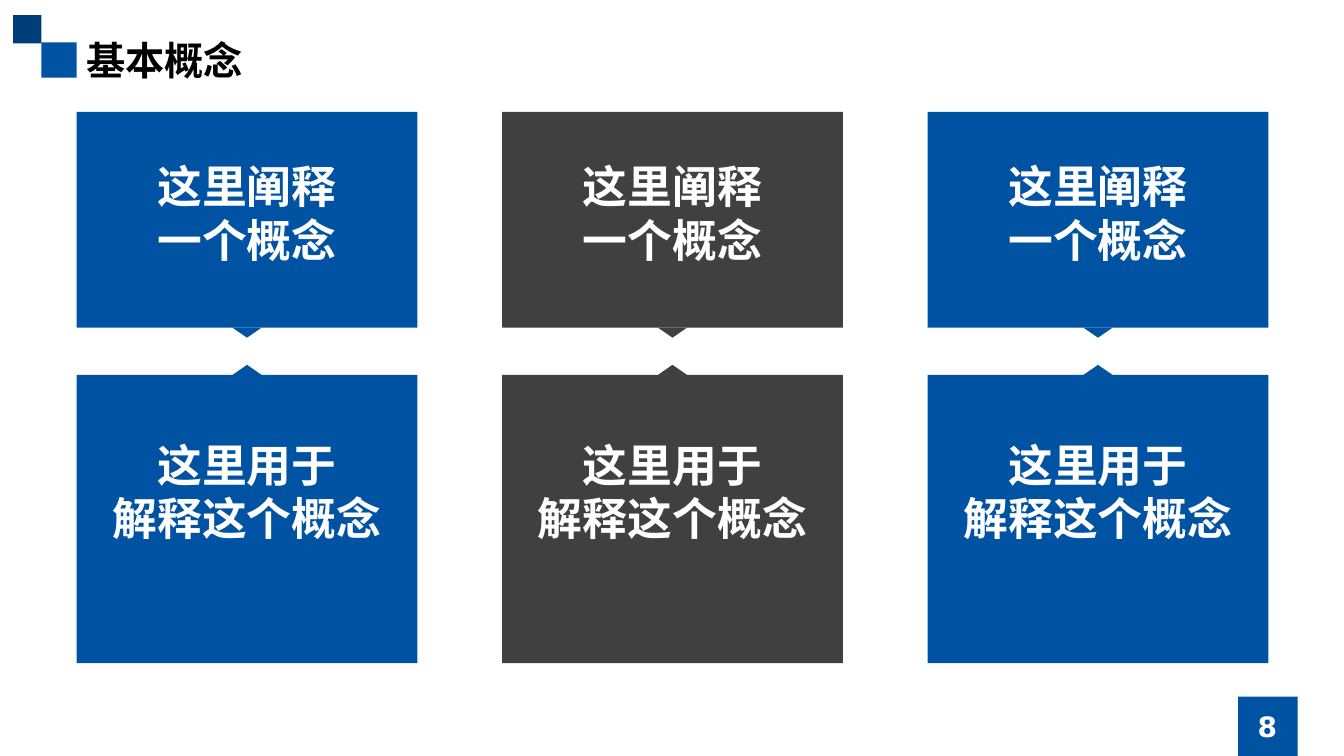
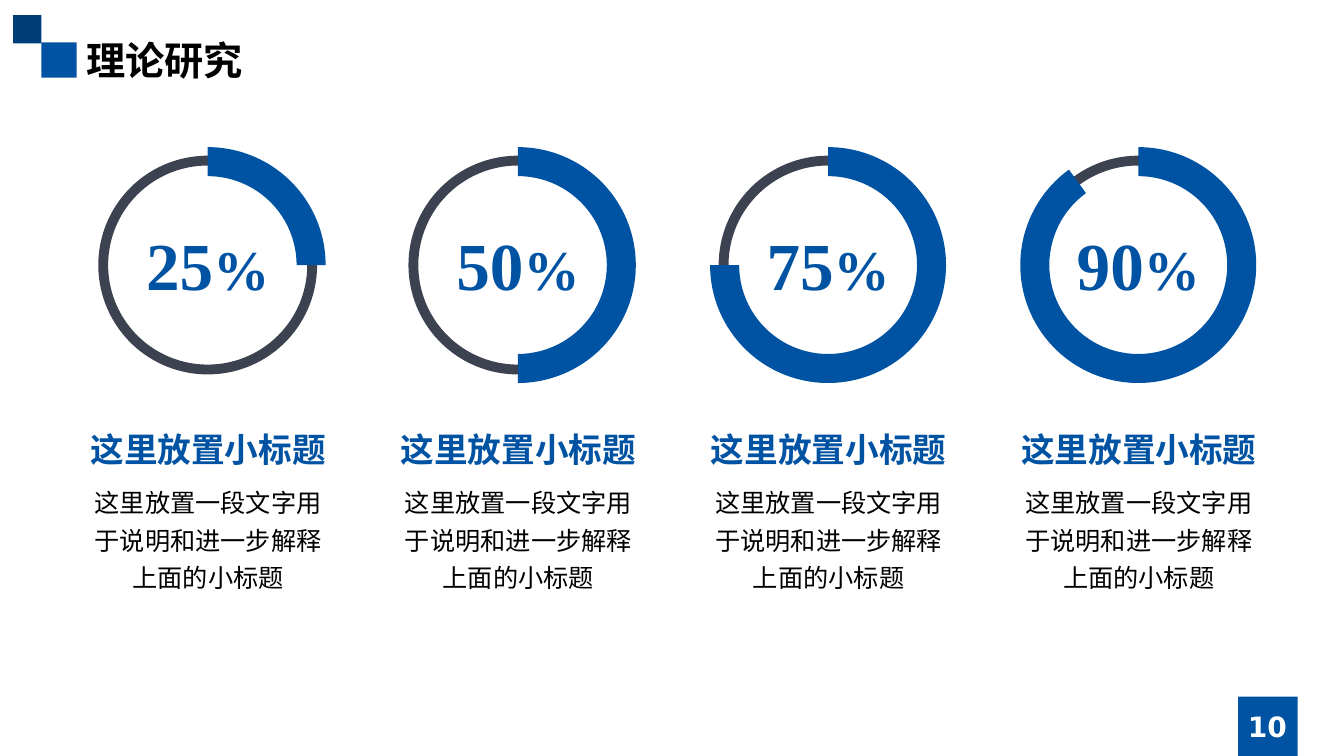
from lxml.etree import SubElement
from pptx import Presentation
from pptx.dml.color import RGBColor
from pptx.enum.shapes import MSO_SHAPE as Preset
from pptx.enum.text import MSO_ANCHOR as Anchor, PP_ALIGN as Align
from pptx.oxml.ns import qn
from pptx.util import Inches, Pt

BLUE = RGBColor(0x00, 0x53, 0xA3)
NAVY = RGBColor(0x00, 0x3E, 0x7A)
CHARCOAL = RGBColor(0x40, 0x40, 0x40)
SLATE = RGBColor(0x3C, 0x42, 0x4F)
BLACK = RGBColor(0x00, 0x00, 0x00)
WHITE = RGBColor(0xFF, 0xFF, 0xFF)

HAN = "Noto Sans CJK SC"
SERIF = "Times New Roman"

CONCEPT_COLOURS = [BLUE, CHARCOAL, BLUE]
CONCEPT_TERM = ["这里阐释", "一个概念"]
CONCEPT_MEANING = ["这里用于", "解释这个概念"]
CONCEPT_LEFT, CONCEPT_STEP, CONCEPT_WIDTH = 0.76, 4.22, 3.38
POINTER_WIDTH, POINTER_HEIGHT = 0.29, 0.1

PERCENTS = [25, 50, 75, 90]
GAUGE_LEFT, GAUGE_STEP, GAUGE_SIZE = 0.89, 9.23 / 3, 2.34
TRACK_SIZE = 2.17
SUBHEAD = "这里放置小标题"
DETAIL = "这里放置一段文字用于说明和进一步解释上面的小标题"


def add_block(slide, preset, box, colour, rotation=0, adjustments=()):
    block = slide.shapes.add_shape(preset, *map(Inches, box))
    block.shadow.inherit = False
    block.fill.solid()
    block.fill.fore_color.rgb = colour
    block.line.fill.background()
    block.rotation = rotation
    for index, value in enumerate(adjustments):
        block.adjustments[index] = value


def add_text(slide, box, lines, size=18, font=SERIF, colour=BLACK, bold=False,
             align=Align.CENTER, anchor=Anchor.TOP, spacing=None):
    frame = slide.shapes.add_textbox(*map(Inches, box)).text_frame
    frame.word_wrap = True
    frame.vertical_anchor = anchor
    for index, line in enumerate(lines):
        paragraph = frame.add_paragraph() if index else frame.paragraphs[0]
        paragraph.alignment = align
        paragraph.line_spacing = spacing
        pieces = [(line, size)] if isinstance(line, str) else line
        for words, points in pieces:
            run = paragraph.add_run()
            run.text = words
            run.font.size = Pt(points)
            run.font.bold = bold
            run.font.color.rgb = colour
            run.font.name = font
            SubElement(run.font._element, qn("a:ea"), typeface=HAN)


def add_framed_slide(deck, title, number):
    slide = deck.slides.add_slide(deck.slide_layouts[6])
    add_block(slide, Preset.RECTANGLE, (0.41, 0.42, 0.35, 0.35), BLUE)
    add_block(slide, Preset.RECTANGLE, (0.13, 0.15, 0.28, 0.28), NAVY)
    add_block(slide, Preset.RECTANGLE, (12.28, 6.91, 0.59, 0.59), BLUE)
    add_text(slide, (0.76, 0.31, 5.91, 0.57), [title], size=28, font=HAN,
             bold=True, align=Align.LEFT)
    add_text(slide, (11.81, 7.01, 1.52, 0.4), [str(number)], size=20,
             font="DejaVu Sans", colour=WHITE, bold=True, anchor=Anchor.MIDDLE)
    return slide


def add_concept_card(slide, box, lines, colour, text_offset, points_down):
    left, top, width, height = box
    pointer_left = left + (width - POINTER_WIDTH) / 2
    pointer_top = top + height if points_down else top - POINTER_HEIGHT
    add_block(slide, Preset.RECTANGLE, box, colour)
    add_block(slide, Preset.ISOSCELES_TRIANGLE,
              (pointer_left, pointer_top, POINTER_WIDTH, POINTER_HEIGHT),
              colour, rotation=180 if points_down else 0)
    add_text(slide, (left, top + text_offset, width, 1.18), lines, size=32,
             font="Arial", colour=WHITE, bold=True)


def add_gauge(slide, left, top, percent):
    middle = left + GAUGE_SIZE / 2
    inset = (GAUGE_SIZE - TRACK_SIZE) / 2
    end_angle = (270 + 3.6 * percent) % 360
    add_block(slide, Preset.DONUT,
              (left + inset, top + inset, TRACK_SIZE, TRACK_SIZE), SLATE,
              adjustments=[0.045])
    add_block(slide, Preset.BLOCK_ARC, (left, top, GAUGE_SIZE, GAUGE_SIZE), BLUE,
              adjustments=[270 * 0.6, end_angle * 0.6, 0.123])
    add_text(slide, (middle - 1.13, top + 0.71, 2.26, 0.91),
             [[(str(percent), 48), ("%", 40)]], colour=BLUE, bold=True)
    add_text(slide, (middle - 1.4, top + 2.75, 2.81, 0.5), [SUBHEAD], size=24,
             colour=BLUE, bold=True)
    add_text(slide, (middle - 1.28, top + 3.25, 2.57, 1.2), [DETAIL], spacing=1.25)


def build_concepts(deck):
    slide = add_framed_slide(deck, "基本概念", 8)
    for column, colour in enumerate(CONCEPT_COLOURS):
        left = CONCEPT_LEFT + column * CONCEPT_STEP
        add_concept_card(slide, (left, 3.72, CONCEPT_WIDTH, 2.86),
                         CONCEPT_MEANING, colour, 0.57, points_down=False)
        add_concept_card(slide, (left, 1.11, CONCEPT_WIDTH, 2.14),
                         CONCEPT_TERM, colour, 0.42, points_down=True)


def build_research(deck):
    slide = add_framed_slide(deck, "理论研究", 10)
    for column, percent in enumerate(PERCENTS):
        add_gauge(slide, GAUGE_LEFT + column * GAUGE_STEP, 1.46, percent)


def main():
    deck = Presentation()
    deck.slide_width, deck.slide_height = Inches(13.33), Inches(7.5)
    build_concepts(deck)
    build_research(deck)
    deck.save("out.pptx")


if __name__ == "__main__":
    main()
